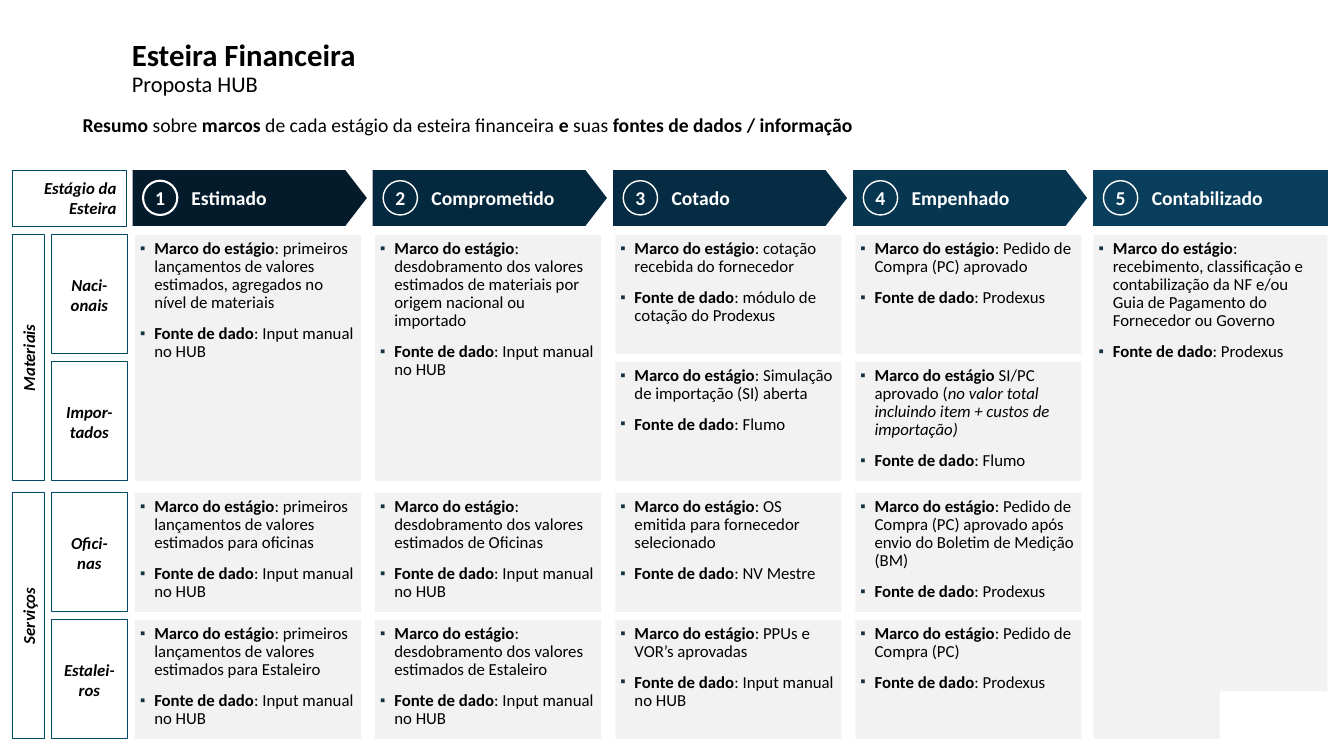
from dataclasses import dataclass
from typing import Optional

import pptx
import pptx.dml.color
import pptx.enum.shapes
import pptx.enum.text
import pptx.oxml.ns
import pptx.shapes.autoshape
import pptx.text.text
import pptx.util
from lxml import etree

Pt = pptx.util.Pt
qn = pptx.oxml.ns.qn
Shape = pptx.shapes.autoshape.Shape
Preset = pptx.enum.shapes.MSO_SHAPE
Align = pptx.enum.text.PP_ALIGN
Anchor = pptx.enum.text.MSO_ANCHOR

COLORS = {
    "text": "000000", "white": "FFFFFF", "card": "F2F2F2",
    "border": "014A65", "bullet": "143244",
}
FONT = "Calibri"
COLUMN_PITCH = 171.5
HEADER_LEFT, HEADER_TOP, HEADER_WIDTH, HEADER_HEIGHT = 93.6, 120.2, 170, 42.5
CARD_LEFT, CARD_WIDTH = 96.5, 161.5
FINAL_CARD_LEFT, FINAL_CARD_WIDTH = 781.2, 167
ROW_HEIGHT = 85
ROW_TOPS = (167.8, 258.5, 352.1, 442.8)


@dataclass(frozen=True)
class Box:
    left: float
    top: float
    width: float
    height: float


@dataclass(frozen=True)
class Run:
    text: str
    size: float = 12
    bold: bool = False
    italic: bool = False
    color: str = COLORS["text"]


@dataclass(frozen=True)
class Stage:
    name: str
    color: str


@dataclass(frozen=True)
class Label:
    text: str
    box: Box
    align: Align = Align.CENTER
    vertical: bool = False


@dataclass(frozen=True)
class Card:
    column: int
    first_row: int
    last_row: int
    milestone: str
    source: str
    separator: str = ": "
    note: str = ""


STAGES = (
    Stage("Estimado", "031B2B"),
    Stage("Comprometido", "04293E"),
    Stage("Cotado", "052C42"),
    Stage("Empenhado", "073651"),
    Stage("Contabilizado", "093F5D"),
)


def row_span(first: int, last: int) -> float:
    return ROW_TOPS[last] + ROW_HEIGHT - ROW_TOPS[first]


def group_label(text: str, first: int) -> Label:
    box = Box(8.7, ROW_TOPS[first], 23.3, row_span(first, first + 1))
    return Label(text, box, vertical=True)


LABELS = (
    Label("Estágio da Esteira", Box(8.7, 121.6, 81.6, 39.9), Align.RIGHT),
    group_label("Materiais", 0),
    group_label("Serviços", 2),
    *(Label(text, Box(36.7, top, 54.3, ROW_HEIGHT)) for text, top in
      zip(("Naci-onais", "Impor-tados", "Ofici-nas", "Estalei-ros"), ROW_TOPS)),
)

MANUAL = "Input manual no HUB"
CARDS = (
    Card(0, 0, 1, "primeiros lançamentos de valores estimados, agregados no nível de materiais", MANUAL),
    Card(0, 2, 2, "primeiros lançamentos de valores estimados para oficinas", MANUAL),
    Card(0, 3, 3, "primeiros lançamentos de valores estimados para Estaleiro", MANUAL),
    Card(1, 0, 1, "desdobramento dos valores estimados de materiais por origem nacional ou importado", MANUAL),
    Card(1, 2, 2, "desdobramento dos valores estimados de Oficinas", MANUAL),
    Card(1, 3, 3, "desdobramento dos valores estimados de Estaleiro", MANUAL),
    Card(2, 0, 0, "cotação recebida do fornecedor", "módulo de cotação do Prodexus"),
    Card(2, 1, 1, "Simulação de importação (SI) aberta", "Flumo"),
    Card(2, 2, 2, "OS emitida para fornecedor selecionado", "NV Mestre"),
    Card(2, 3, 3, "PPUs e VOR’s aprovadas", MANUAL),
    Card(3, 0, 0, "Pedido de Compra (PC) aprovado", "Prodexus"),
    Card(3, 1, 1, "SI/PC aprovado (", "Flumo", " ",
         "no valor total incluindo item + custos de importação)"),
    Card(3, 2, 2, "Pedido de Compra (PC) aprovado após envio do Boletim de Medição (BM)", "Prodexus"),
    Card(3, 3, 3, "Pedido de Compra (PC)", "Prodexus"),
    Card(4, 0, 3, "recebimento, classificação e contabilização da NF e/ou Guia de Pagamento do "
         "Fornecedor ou Governo", "Prodexus"),
)


def rgb(color: str) -> pptx.dml.color.RGBColor:
    return pptx.dml.color.RGBColor.from_string(color)


def add_runs(paragraph: pptx.text.text._Paragraph, *runs: Run) -> None:
    for item in runs:
        run = paragraph.add_run()
        run.text = item.text
        run.font.name = FONT
        run.font.size = Pt(item.size)
        run.font.bold = item.bold
        run.font.italic = item.italic
        run.font.color.rgb = rgb(item.color)


def set_frame(shape: Shape, anchor: Anchor, sides: tuple[float, float] = (7.2, 7.2),
              ends: float = 3.6) -> pptx.text.text.TextFrame:
    frame = shape.text_frame
    frame.word_wrap = True
    frame.vertical_anchor = anchor
    frame.margin_left, frame.margin_right = map(Pt, sides)
    frame.margin_top = frame.margin_bottom = Pt(ends)
    return frame


def place(box: Box) -> tuple[pptx.util.Length, ...]:
    return Pt(box.left), Pt(box.top), Pt(box.width), Pt(box.height)


def add_shape(slide: pptx.slide.Slide, preset: Preset, box: Box, fill: Optional[str] = None,
              line: Optional[str] = None, line_width: float = 0.75) -> Shape:
    shape = slide.shapes.add_shape(preset, *place(box))
    shape.shadow.inherit = False
    if fill:
        shape.fill.solid()
        shape.fill.fore_color.rgb = rgb(fill)
    else:
        shape.fill.background()
    if line:
        shape.line.color.rgb = rgb(line)
        shape.line.width = Pt(line_width)
    else:
        shape.line.fill.background()
    return shape


def indent(paragraph: pptx.text.text._Paragraph, left: float, first: float = 0) -> etree._Element:
    properties = paragraph._p.get_or_add_pPr()
    properties.set("marL", str(int(Pt(left))))
    properties.set("indent", str(int(Pt(first))))
    return properties


def add_bullet(paragraph: pptx.text.text._Paragraph) -> None:
    properties = indent(paragraph, 10.8, -10.1)
    color = etree.SubElement(properties, qn("a:buClr"))
    etree.SubElement(color, qn("a:srgbClr"), val=COLORS["bullet"])
    etree.SubElement(properties, qn("a:buSzPct"), val="90000")
    etree.SubElement(properties, qn("a:buFont"), typeface="Arial")
    etree.SubElement(properties, qn("a:buChar"), char="▪")


def add_heading(slide: pptx.slide.Slide) -> None:
    title = slide.shapes.add_textbox(*place(Box(87.1, 23.8, 825.8, 51.1)))
    paragraph = set_frame(title, Anchor.MIDDLE).paragraphs[0]
    paragraph.line_spacing = 0.9
    add_runs(paragraph, Run("Esteira Financeira", 22, True))
    paragraph.add_line_break()
    add_runs(paragraph, Run("Proposta HUB", 16))

    summary = slide.shapes.add_textbox(*place(Box(54.7, 77, 850.3, 25.2)))
    paragraph = set_frame(summary, Anchor.TOP, (4.3, 4.3)).paragraphs[0]
    phrases = ("Resumo", " sobre ", "marcos", " de cada estágio da esteira financeira ",
               "e", " suas ", "fontes de dados / informação")
    add_runs(paragraph, *(Run(text, 14, i % 2 == 0) for i, text in enumerate(phrases)))


def add_stage(slide: pptx.slide.Slide, index: int, stage: Stage) -> None:
    left = HEADER_LEFT + index * COLUMN_PITCH
    final = index == len(STAGES) - 1
    header = add_shape(slide, Preset.RECTANGLE if final else Preset.PENTAGON,
                       Box(left, HEADER_TOP, HEADER_WIDTH, HEADER_HEIGHT),
                       stage.color, COLORS["white"], 2.25)
    if not final:
        header.adjustments[0] = 0.386
    paragraph = set_frame(header, Anchor.MIDDLE).paragraphs[0]
    paragraph.alignment = Align.LEFT
    indent(paragraph, 36)
    add_runs(paragraph, Run(stage.name, 14, True, color=COLORS["white"]))

    number = add_shape(slide, Preset.OVAL, Box(left + 8.6, 129.1, 24.5, 24.5),
                       stage.color, COLORS["white"], 1 if index else 1.5)
    paragraph = set_frame(number, Anchor.MIDDLE, (0, 0), 0).paragraphs[0]
    paragraph.alignment = Align.CENTER
    add_runs(paragraph, Run(str(index + 1), 14, True, color=COLORS["white"]))


def add_label(slide: pptx.slide.Slide, label: Label) -> None:
    shape = add_shape(slide, Preset.RECTANGLE, label.box, line=COLORS["border"])
    frame = set_frame(shape, Anchor.MIDDLE)
    if label.vertical:
        shape.element.find(".//" + qn("a:bodyPr")).set("vert", "vert270")
    frame.paragraphs[0].alignment = label.align
    add_runs(frame.paragraphs[0], Run(label.text, bold=True, italic=True))


def add_card(slide: pptx.slide.Slide, card: Card) -> None:
    final = card.column == len(STAGES) - 1
    left = FINAL_CARD_LEFT if final else CARD_LEFT + card.column * COLUMN_PITCH
    box = Box(left, ROW_TOPS[card.first_row], FINAL_CARD_WIDTH if final else CARD_WIDTH,
              row_span(card.first_row, card.last_row))
    frame = set_frame(add_shape(slide, Preset.RECTANGLE, box, COLORS["card"]),
                      Anchor.TOP, (2.9, 4.3))
    milestone, source = frame.paragraphs[0], frame.add_paragraph()
    for paragraph in (milestone, source):
        paragraph.alignment = Align.LEFT
        paragraph.line_spacing = 0.9
        add_bullet(paragraph)
    source.space_before = Pt(9)
    add_runs(milestone, Run("Marco do estágio", bold=True), Run(card.separator + card.milestone))
    if card.note:
        add_runs(milestone, Run(card.note, italic=True))
    add_runs(source, Run("Fonte de dado", bold=True), Run(": " + card.source))


def main() -> None:
    deck = pptx.Presentation()
    deck.slide_width, deck.slide_height = Pt(960), Pt(540)
    slide = deck.slides.add_slide(deck.slide_layouts[6])
    add_heading(slide)
    for index, stage in enumerate(STAGES):
        add_stage(slide, index, stage)
    for label in LABELS:
        add_label(slide, label)
    for card in CARDS:
        add_card(slide, card)
    add_shape(slide, Preset.RECTANGLE, Box(871.2, 493.9, 88.8, 46.1), COLORS["white"])
    deck.save("out.pptx")


if __name__ == "__main__":
    main()
